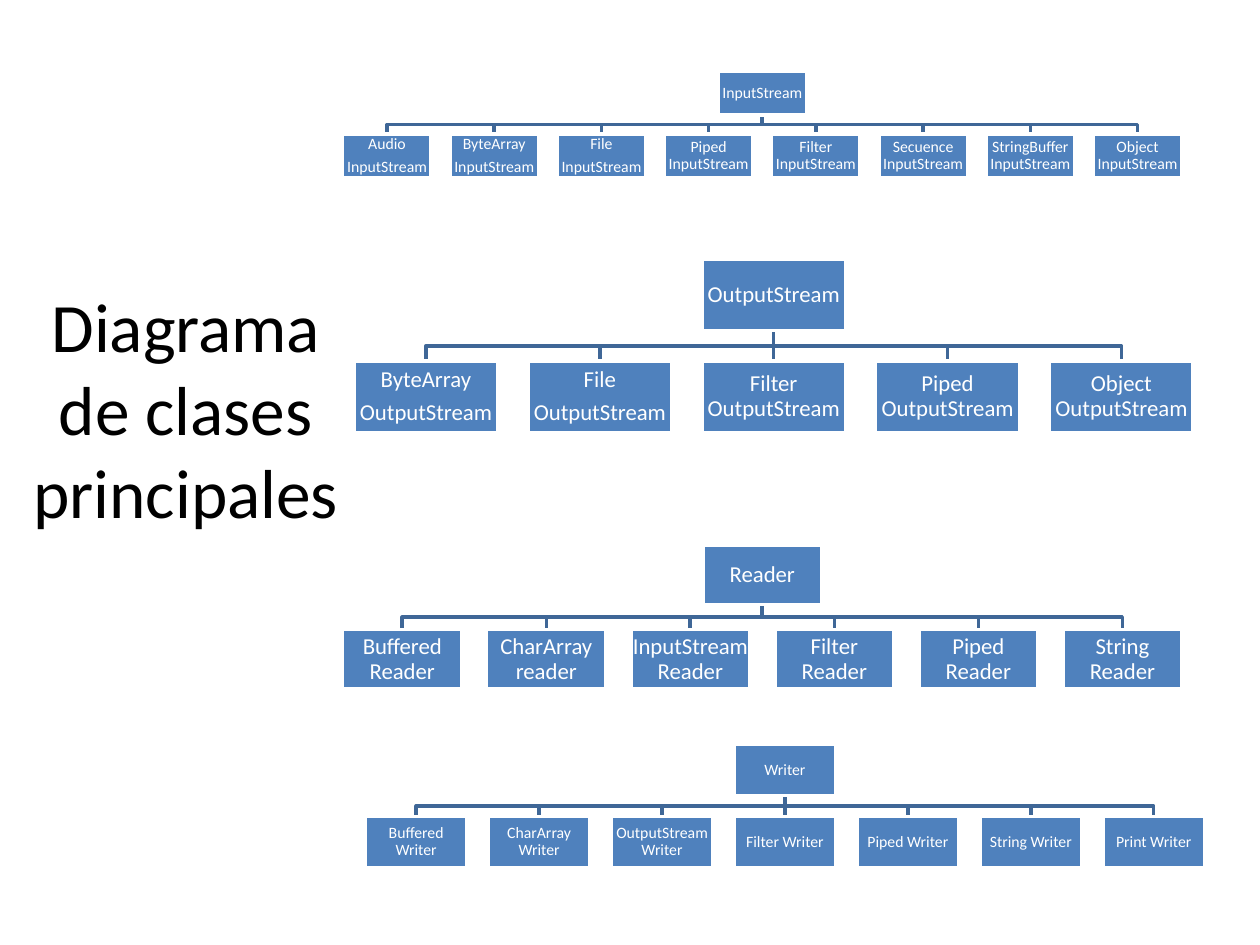
from dataclasses import dataclass

from lxml.etree import SubElement
from pptx import Presentation
from pptx.dml.color import RGBColor
from pptx.enum.shapes import MSO_CONNECTOR, MSO_SHAPE
from pptx.enum.text import MSO_ANCHOR, PP_ALIGN
from pptx.oxml.ns import qn
from pptx.shapes.autoshape import Shape
from pptx.shapes.group import GroupShape
from pptx.text.text import TextFrame
from pptx.util import Inches, Pt

SLIDE_WIDTH, SLIDE_HEIGHT = Inches(10), Inches(7.5)
TREE_WIDTH = 0.666  # share of the slide width
GAP = 0.21  # share of a box width, both between boxes and between levels
BOX_RATIO = 0.5  # box height over box width


@dataclass(frozen=True)
class Theme:
    font: str = "Calibri"
    title: RGBColor = RGBColor(0, 0, 0)
    box: RGBColor = RGBColor(0x4F, 0x81, 0xBD)
    branch: RGBColor = RGBColor(0x3F, 0x67, 0x97)
    light: RGBColor = RGBColor(0xFF, 0xFF, 0xFF)
    title_size: float = 39.6
    large: float = 13
    small: float = 9
    line_width: float = 2
    space_after: float = 0.35  # share of the type size


THEME = Theme()


@dataclass(frozen=True)
class ClassTree:
    """A base class over its row of subclasses; left and top are slide shares."""
    root: str
    children: tuple[str, ...]
    left: float
    top: float
    size: float


TREES = (
    ClassTree("InputStream",
              ("Audio\nInputStream", "ByteArray\nInputStream", "File\nInputStream",
               "Piped InputStream", "Filter InputStream", "Secuence InputStream",
               "StringBuffer InputStream", "Object InputStream"),
              0.272, 0.075, THEME.small),
    ClassTree("OutputStream",
              ("ByteArray\nOutputStream", "File\nOutputStream", "Filter OutputStream",
               "Piped OutputStream", "Object OutputStream"),
              0.281, 0.274, THEME.large),
    ClassTree("Reader",
              ("Buffered Reader", "CharArray reader", "InputStream Reader",
               "Filter Reader", "Piped Reader", "String Reader"),
              0.272, 0.577, THEME.large),
    ClassTree("Writer",
              ("Buffered Writer", "CharArray Writer", "OutputStream Writer",
               "Filter Writer", "Piped Writer", "String Writer", "Print Writer"),
              0.29, 0.788, THEME.small),
)


def set_values(target: object, values: dict) -> None:
    for name, value in values.items():
        setattr(target, name, value)


def write_text(frame: TextFrame, text: str, size: float, color: RGBColor,
               inset: float, spacing: dict) -> None:
    margin = Inches(inset)
    set_values(frame, {"word_wrap": True, "vertical_anchor": MSO_ANCHOR.MIDDLE,
                       "margin_left": margin, "margin_right": margin,
                       "margin_top": margin, "margin_bottom": margin})
    frame.text = text
    for paragraph in frame.paragraphs:
        set_values(paragraph, {"alignment": PP_ALIGN.CENTER, **spacing})
        for run in paragraph.runs:
            set_values(run.font, {"name": THEME.font, "size": Pt(size)})
            run.font.color.rgb = color


def add_box(group: GroupShape, text: str, left: float, top: float,
            width: float, size: float) -> Shape:
    box = group.shapes.add_shape(MSO_SHAPE.RECTANGLE, round(left), round(top),
                                 round(width), round(width * BOX_RATIO))
    box.shadow.inherit = False
    box.fill.solid()
    box.fill.fore_color.rgb = THEME.box
    box.line.color.rgb = THEME.light
    box.line.width = Pt(THEME.line_width)
    write_text(box.text_frame, text, size, THEME.light, 0.01,
               {"line_spacing": 0.9, "space_after": Pt(size * THEME.space_after)})
    return box


def add_branch(group: GroupShape, root: Shape, child: Shape) -> None:
    """Join the root's bottom to the child's top, with an elbow if they are offset."""
    start_x, start_y = root.left + root.width // 2, root.top + root.height
    end_x, end_y = child.left + child.width // 2, child.top
    if abs(end_x - start_x) < Pt(1):
        branch = group.shapes.add_connector(MSO_CONNECTOR.STRAIGHT,
                                            start_x, start_y, end_x, end_y)
        branch.begin_connect(root, 2)
        branch.end_connect(child, 0)
        SubElement(branch._element.spPr, qn("a:effectLst"))
    else:
        middle_y = (start_y + end_y) // 2
        builder = group.shapes.build_freeform(start_x, start_y)
        builder.add_line_segments(
            [(start_x, middle_y), (end_x, middle_y), (end_x, end_y)], close=False)
        branch = builder.convert_to_shape()
        branch.shadow.inherit = False
        branch.fill.background()
    branch.line.color.rgb = THEME.branch
    branch.line.width = Pt(THEME.line_width)
    # Branches lie behind the boxes: move each one ahead of the root box.
    root._element.addprevious(branch._element)


def add_tree(slide, tree: ClassTree) -> None:
    group = slide.shapes.add_group_shape()
    count = len(tree.children)
    width = SLIDE_WIDTH * TREE_WIDTH / (count + GAP * (count - 1))
    pitch = width * (1 + GAP)
    left, top = SLIDE_WIDTH * tree.left, SLIDE_HEIGHT * tree.top
    root = add_box(group, tree.root, left + pitch * (count - 1) / 2, top,
                   width, tree.size)
    for column, name in enumerate(tree.children):
        child = add_box(group, name, left + column * pitch,
                        top + width * (BOX_RATIO + GAP), width, tree.size)
        add_branch(group, root, child)


def add_title(slide, text: str) -> None:
    title = slide.shapes.add_textbox(round(SLIDE_WIDTH * 0.001), round(SLIDE_HEIGHT * 0.28),
                                     round(SLIDE_WIDTH * 0.293), round(SLIDE_HEIGHT * 0.303))
    write_text(title.text_frame, text, THEME.title_size, THEME.title, 0.1, {})


def main() -> None:
    presentation = Presentation()
    set_values(presentation, {"slide_width": SLIDE_WIDTH, "slide_height": SLIDE_HEIGHT})
    slide = presentation.slides.add_slide(presentation.slide_layouts[6])
    add_title(slide, "Diagrama de clases principales")
    for tree in TREES:
        add_tree(slide, tree)
    presentation.save("out.pptx")


if __name__ == "__main__":
    main()
